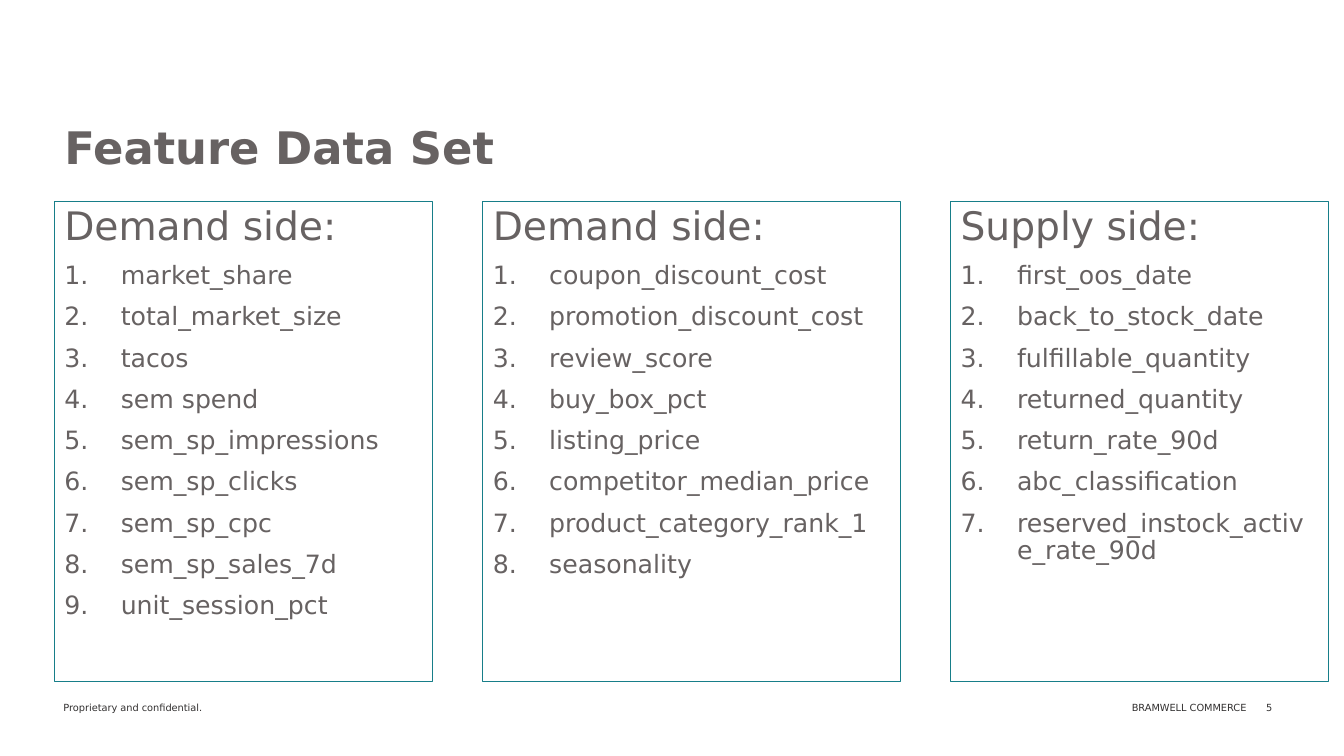
from lxml.etree import SubElement
from pptx import Presentation
from pptx.dml.color import RGBColor
from pptx.enum.shapes import MSO_SHAPE
from pptx.enum.text import MSO_ANCHOR, PP_ALIGN
from pptx.oxml.ns import qn
from pptx.util import Inches, Pt

COLORS = {"text": "676262", "footer": "323030", "border": "177E89"}
FORMATS = {
    "title": {"size": Pt(32), "bold": True},
    "heading": {"size": Pt(28)},
    "feature": {"size": Pt(18)},
    "footer": {"size": Pt(7)},
}
SPACING = {"line_spacing": 0.9, "space_before": Pt(10)}

# Shares of the slide's size, in percent
MARGIN, GAP = 4.05, 3.75
PANEL_TOP, PANEL_HEIGHT = 26.67, 63.47
FOOTER_TOP, FOOTER_HEIGHT = 90.93, 5.33

PANELS = [
    (28.13, "Demand side:", [
        "market_share", "total_market_size", "tacos", "sem spend",
        "sem_sp_impressions", "sem_sp_clicks", "sem_sp_cpc",
        "sem_sp_sales_7d", "unit_session_pct"]),
    (31.06, "Demand side:", [
        "coupon_discount_cost", "promotion_discount_cost", "review_score",
        "buy_box_pct", "listing_price", "competitor_median_price",
        "product_category_rank_1", "seasonality"]),
    (28.13, "Supply side:", [
        "first_oos_date", "back_to_stock_date", "fulfillable_quantity",
        "returned_quantity", "return_rate_90d", "abc_classification",
        "reserved_instock_active_rate_90d"]),
]
FOOTERS = [
    (3.98, 14.18, "Proprietary and confidential.", PP_ALIGN.LEFT),
    (81.7, 11.78, "BRAMWELL COMMERCE", PP_ALIGN.RIGHT),
    (93.47, 3.68, "5", PP_ALIGN.LEFT),
]


def color(name):
    return RGBColor.from_string(COLORS[name])


class FeatureDeck:
    """Holds the style and the current slide."""

    def __init__(self):
        self.deck = Presentation()
        self.deck.slide_width = Inches(13.33)
        self.deck.slide_height = Inches(7.5)
        self.slide = self.deck.slides.add_slide(self.deck.slide_layouts[6])

    def place(self, left, top, width, height):
        across = self.deck.slide_width / 100
        down = self.deck.slide_height / 100
        return [round(length) for length in (
            left * across, top * down, width * across, height * down)]

    def add_wording(self, paragraph, wording, style, ink="text"):
        run = paragraph.add_run()
        run.text = wording
        run.font.name = "DejaVu Sans"
        run.font.color.rgb = color(ink)
        for attribute, value in FORMATS[style].items():
            setattr(run.font, attribute, value)

    def number(self, paragraph):
        properties = paragraph._p.get_or_add_pPr()
        properties.set("marL", str(Inches(0.56)))
        properties.set("indent", str(-Inches(0.56)))
        SubElement(properties, qn("a:buAutoNum"), type="arabicPeriod")

    def label(self, area, wording, style, ink, anchor, align=PP_ALIGN.LEFT):
        frame = self.slide.shapes.add_textbox(*self.place(*area)).text_frame
        frame.word_wrap = True
        frame.vertical_anchor = anchor
        line = frame.paragraphs[0]
        line.alignment = align
        if style == "title":
            line.line_spacing = SPACING["line_spacing"]
        self.add_wording(line, wording, style, ink)

    def panel(self, area, heading, features):
        box = self.slide.shapes.add_shape(MSO_SHAPE.RECTANGLE, *self.place(*area))
        box.shadow.inherit = False
        box.fill.background()
        box.line.color.rgb = color("border")
        box.line.width = Pt(0.75)
        frame = box.text_frame
        frame.word_wrap = True
        frame.vertical_anchor = MSO_ANCHOR.TOP
        # Heading
        top_line = frame.paragraphs[0]
        top_line.alignment = PP_ALIGN.LEFT
        top_line.line_spacing = SPACING["line_spacing"]
        self.add_wording(top_line, heading, "heading")
        # Numbered features
        for feature in features:
            item = frame.add_paragraph()
            item.alignment = PP_ALIGN.LEFT
            self.number(item)
            for attribute, value in SPACING.items():
                setattr(item, attribute, value)
            self.add_wording(item, feature, "feature")


def main():
    feature_deck = FeatureDeck()

    # Title
    feature_deck.label((MARGIN, 4.4, 91.97, 19.33), "Feature Data Set",
                       "title", "text", MSO_ANCHOR.BOTTOM)

    # Feature panels, side by side with equal gaps
    left = MARGIN
    for width, heading, features in PANELS:
        feature_deck.panel((left, PANEL_TOP, width, PANEL_HEIGHT), heading, features)
        left += width + GAP

    # Footer
    for left, width, wording, align in FOOTERS:
        feature_deck.label((left, FOOTER_TOP, width, FOOTER_HEIGHT), wording,
                           "footer", "footer", MSO_ANCHOR.MIDDLE, align)

    feature_deck.deck.save("out.pptx")


if __name__ == "__main__":
    main()
